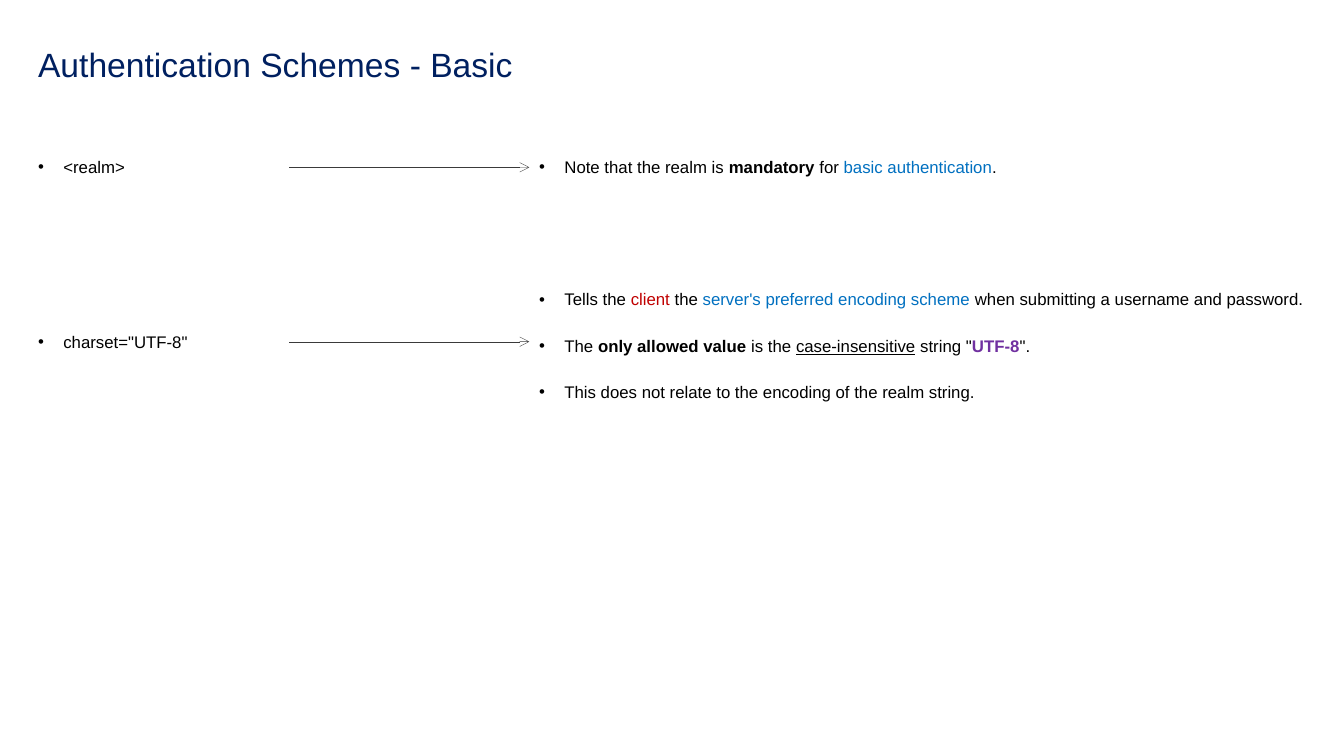
import pptx
import pptx.util
import pptx.dml.color
import pptx.enum.shapes
import pptx.enum.text
import pptx.oxml
import pptx.oxml.ns
import lxml.etree

Inches = pptx.util.Inches
Pt = pptx.util.Pt
qn = pptx.oxml.ns.qn


def color(code):
    return pptx.dml.color.RGBColor.from_string(code)


def add_text(left, top, width, height, lines, size, ink, bullet=True):
    frame = slide.shapes.add_textbox(
        Inches(left), Inches(top), Inches(width), Inches(height)
    ).text_frame
    frame.word_wrap = True
    for index, parts in enumerate(lines):
        line = frame.add_paragraph() if index else frame.paragraphs[0]
        line.line_spacing = 1.6 if bullet else 0.9
        if bullet:
            line.space_before = Pt(10)
            props = line._p.get_or_add_pPr()
            props.set("marL", str(Inches(0.25)))
            props.set("indent", str(Inches(-0.25)))
            font = lxml.etree.SubElement(props, qn("a:buFont"))
            font.set("typeface", "Arial")
            mark = lxml.etree.SubElement(props, qn("a:buChar"))
            mark.set("char", "•")
        for words, style in parts:
            run = line.add_run()
            run.text = words
            run.font.name = "Arial"
            run.font.size = Pt(size)
            run.font.bold = "bold" in style
            run.font.underline = "under" in style
            run.font.color.rgb = color(style.get("ink", ink))
    return frame


deck = pptx.Presentation()
deck.slide_width = Inches(13.33)
deck.slide_height = Inches(7.5)
slide = deck.slides.add_slide(deck.slide_layouts[6])

plain = {}
bold = {"bold": True}
under = {"under": True}
blue = {"ink": "0070C0"}
red = {"ink": "C00000"}
purple = {"ink": "7030A0", "bold": True}

title = add_text(0.28, 0.4, 12.86, 0.53,
                 [[("Authentication Schemes - Basic", plain)]],
                 24, "002060", bullet=False)
title.vertical_anchor = pptx.enum.text.MSO_ANCHOR.MIDDLE

rows = [
    ("<realm>", 1.39, 1.39, 0.53, [
        [("Note that the realm is ", plain), ("mandatory", bold),
         (" for ", plain), ("basic authentication", blue), (".", plain)],
    ]),
    ('charset="UTF-8"', 3.12, 2.7, 1.37, [
        [("Tells the ", plain), ("client", red), (" the ", plain),
         ("server's preferred encoding scheme", blue),
         (" when submitting a username and password.", plain)],
        [("The ", plain), ("only allowed value ", bold), ("is the ", plain),
         ("case-insensitive", under), (' string "', plain),
         ("UTF-8", purple), ('".', plain)],
        [("This does not relate to the encoding of the realm string.", plain)],
    ]),
]

for term, top, note_top, note_height, notes in rows:
    add_text(0.28, top, 2.6, 0.53, [[(term, plain)]], 12, "000000")
    add_text(5.25, note_top, 7.8, note_height, notes, 12, "000000")
    level = Inches(top + 0.27)
    arrow = slide.shapes.add_connector(
        pptx.enum.shapes.MSO_CONNECTOR.STRAIGHT,
        Inches(2.87), level, Inches(5.25), level)
    arrow.line.color.rgb = color("3A3A3A")
    arrow.line.width = Pt(0.25)
    tip = lxml.etree.SubElement(arrow.line._get_or_add_ln(), qn("a:tailEnd"))
    tip.set("type", "arrow")
    lxml.etree.SubElement(arrow._element.spPr, qn("a:effectLst"))

deck.save("out.pptx")
